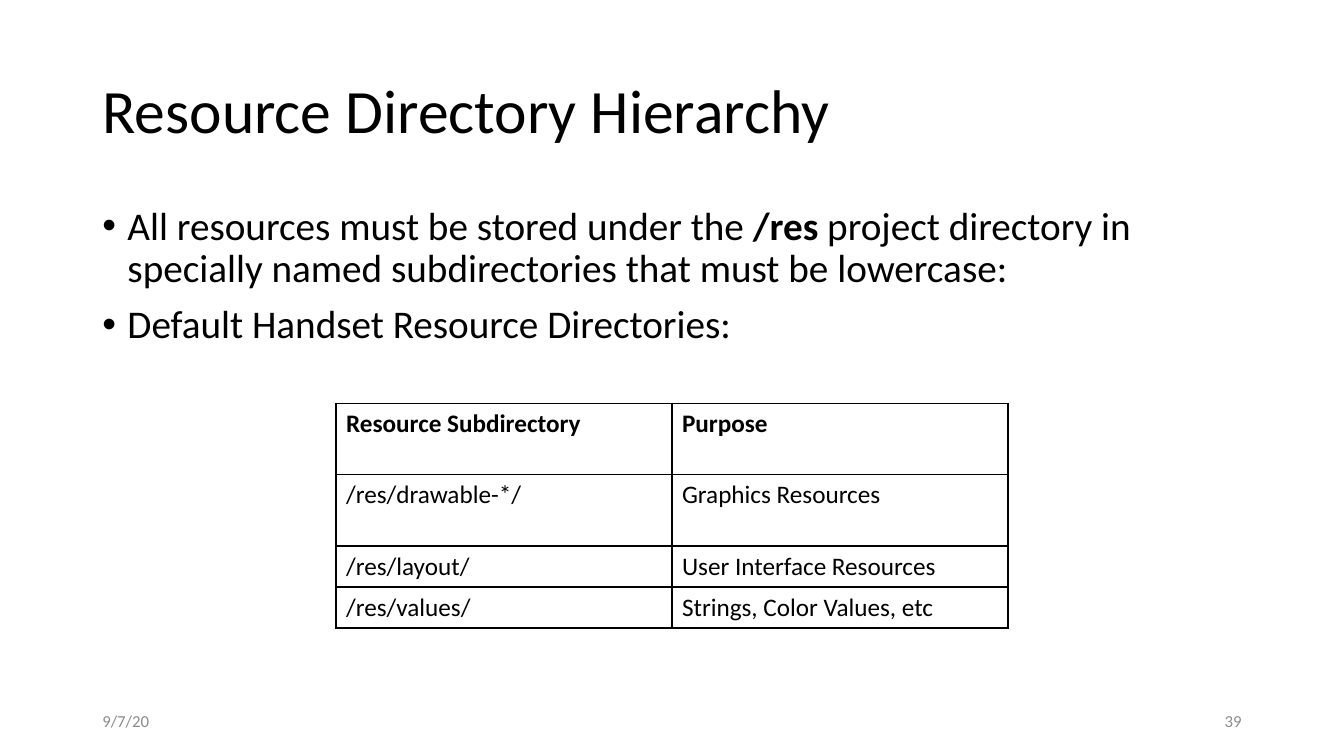
import dataclasses

import pptx
import pptx.dml.color
import pptx.enum.text
import pptx.oxml
import pptx.oxml.ns
import pptx.slide
import pptx.table
import pptx.text.text
import pptx.util

Pt = pptx.util.Pt
Align = pptx.enum.text.PP_ALIGN
Anchor = pptx.enum.text.MSO_ANCHOR

FONT = "Calibri"
COLORS = {"ink": "000000", "muted": "8C8C8C", "paper": "FFFFFF"}
LEFT, CONTENT_WIDTH = 66, 828


@dataclasses.dataclass(frozen=True)
class FooterItem:
    text: str
    left: float
    align: Align


@dataclasses.dataclass(frozen=True)
class DirectoryRow:
    subdirectory: str
    purpose: str
    height: float
    bold: bool = False


FOOTER = [
    FooterItem("9/7/20", LEFT, Align.LEFT),
    FooterItem("39", 678, Align.RIGHT),
]
# Each bullet is a list of (text, bold) pieces
BULLETS = [
    [
        ("All resources must be stored under the ", False),
        ("/res", True),
        (" project directory in specially named subdirectories that must be lowercase:", False),
    ],
    [("Default Handset Resource Directories:", False)],
]
DIRECTORIES = [
    DirectoryRow("Resource Subdirectory", "Purpose", 51, bold=True),
    DirectoryRow("/res/drawable-*/", "Graphics Resources", 51),
    DirectoryRow("/res/layout/", "User Interface Resources", 29.3),
    DirectoryRow("/res/values/", "Strings, Color Values, etc", 29.3),
]


def rgb(name: str) -> pptx.dml.color.RGBColor:
    return pptx.dml.color.RGBColor.from_string(COLORS[name])


def style_font(font: pptx.text.text.Font, size: float, color: str = "ink") -> None:
    font.name = FONT
    font.size = Pt(size)
    font.color.rgb = rgb(color)


def add_title(slide: pptx.slide.Slide, text: str) -> None:
    title = slide.shapes.title
    title.left, title.top = Pt(LEFT), Pt(28.75)
    title.width, title.height = Pt(CONTENT_WIDTH), Pt(104.4)
    title.text_frame.text = text
    title.text_frame.vertical_anchor = Anchor.MIDDLE
    heading = title.text_frame.paragraphs[0]
    heading.alignment = Align.LEFT
    heading.line_spacing = 0.9
    style_font(heading.font, 44)


def add_text_frame(
    slide: pptx.slide.Slide, left: float, top: float, width: float, height: float
) -> pptx.text.text.TextFrame:
    box = slide.shapes.add_textbox(Pt(left), Pt(top), Pt(width), Pt(height))
    box.text_frame.word_wrap = True
    return box.text_frame


def add_bullets(slide: pptx.slide.Slide) -> None:
    body = add_text_frame(slide, LEFT, 143.75, CONTENT_WIDTH, 342.6)
    for index, pieces in enumerate(BULLETS):
        bullet = body.add_paragraph() if index else body.paragraphs[0]
        bullet.line_spacing = 0.9
        bullet.space_before = Pt(10)
        style_font(bullet.font, 28)
        for text, bold in pieces:
            run = bullet.add_run()
            run.text = text
            if bold:
                run.font.bold = True
        # Hanging indent and bullet mark
        properties = bullet._p.get_or_add_pPr()
        properties.set("marL", str(Pt(18)))
        properties.set("indent", str(-Pt(18)))
        ns = pptx.oxml.ns.nsdecls("a")
        marks = [f'<a:buFont {ns} typeface="Arial"/>', f'<a:buChar {ns} char="•"/>']
        position = properties.index(properties.find(pptx.oxml.ns.qn("a:defRPr")))
        for offset, mark in enumerate(marks):
            properties.insert(position + offset, pptx.oxml.parse_xml(mark))


def add_cell_borders(cell: pptx.table._Cell) -> None:
    properties = cell._tc.get_or_add_tcPr()
    for position, side in enumerate(("lnL", "lnR", "lnT", "lnB")):
        border = pptx.oxml.parse_xml(
            f'<a:{side} {pptx.oxml.ns.nsdecls("a")} w="{Pt(1)}">'
            f'<a:solidFill><a:srgbClr val="{COLORS["ink"]}"/></a:solidFill></a:{side}>'
        )
        properties.insert(position, border)


def add_directory_table(slide: pptx.slide.Slide) -> None:
    height = sum(row.height for row in DIRECTORIES)
    directories = slide.shapes.add_table(
        len(DIRECTORIES), 2, Pt(240), Pt(288), Pt(480), Pt(height)
    ).table
    directories.first_row = False
    directories.horz_banding = False
    for row_index, entry in enumerate(DIRECTORIES):
        directories.rows[row_index].height = Pt(entry.height)
        for column, text in enumerate((entry.subdirectory, entry.purpose)):
            cell = directories.cell(row_index, column)
            cell.text = text
            cell.fill.solid()
            cell.fill.fore_color.rgb = rgb("paper")
            label = cell.text_frame.paragraphs[0]
            style_font(label.font, 18)
            label.font.bold = entry.bold
            add_cell_borders(cell)


def add_footer(slide: pptx.slide.Slide, item: FooterItem) -> None:
    footer = add_text_frame(slide, item.left, 500.5, 216, 28.75)
    footer.vertical_anchor = Anchor.MIDDLE
    footer.text = item.text
    footer.paragraphs[0].alignment = item.align
    style_font(footer.paragraphs[0].font, 12, "muted")


def main() -> None:
    deck = pptx.Presentation()
    deck.slide_width, deck.slide_height = Pt(960), Pt(540)
    slide = deck.slides.add_slide(deck.slide_layouts.get_by_name("Title Only"))

    # Title and bullets
    add_title(slide, "Resource Directory Hierarchy")
    add_bullets(slide)

    # Date and slide number
    for item in FOOTER:
        add_footer(slide, item)

    # Directory table
    add_directory_table(slide)
    deck.save("out.pptx")


if __name__ == "__main__":
    main()
